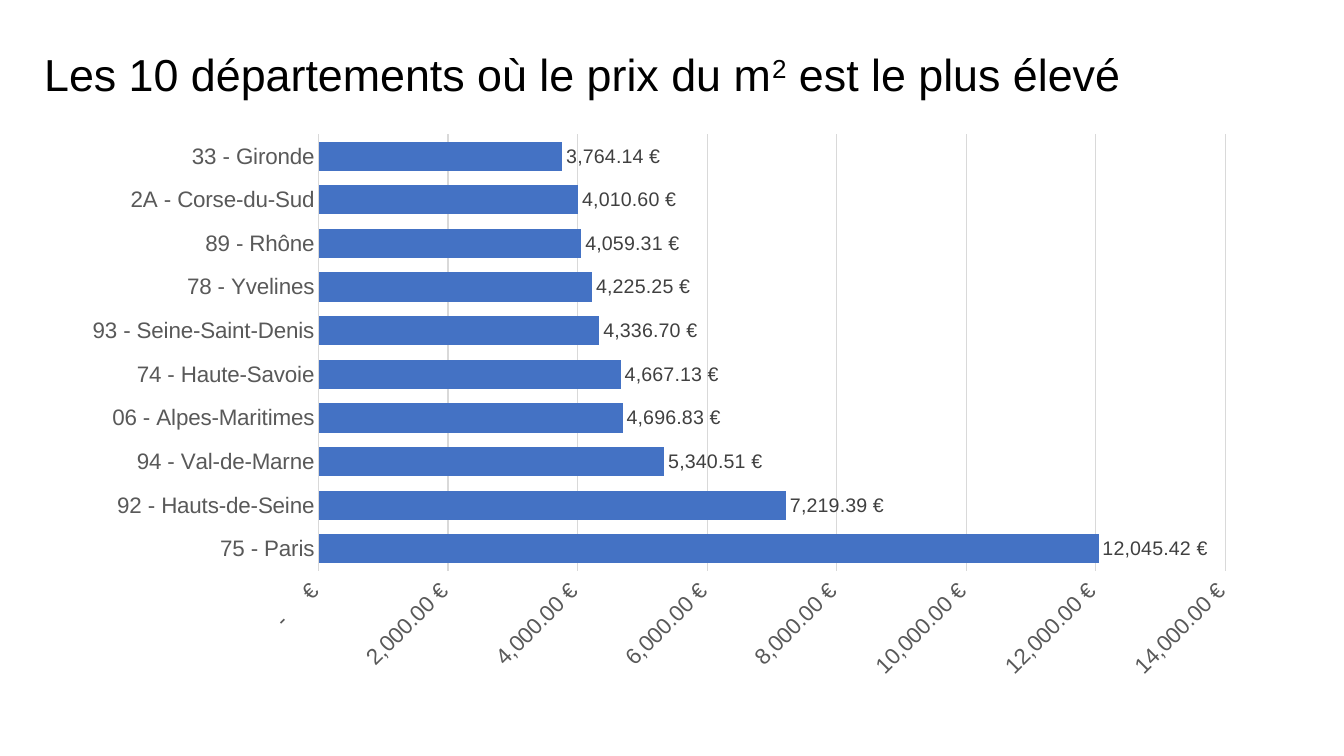
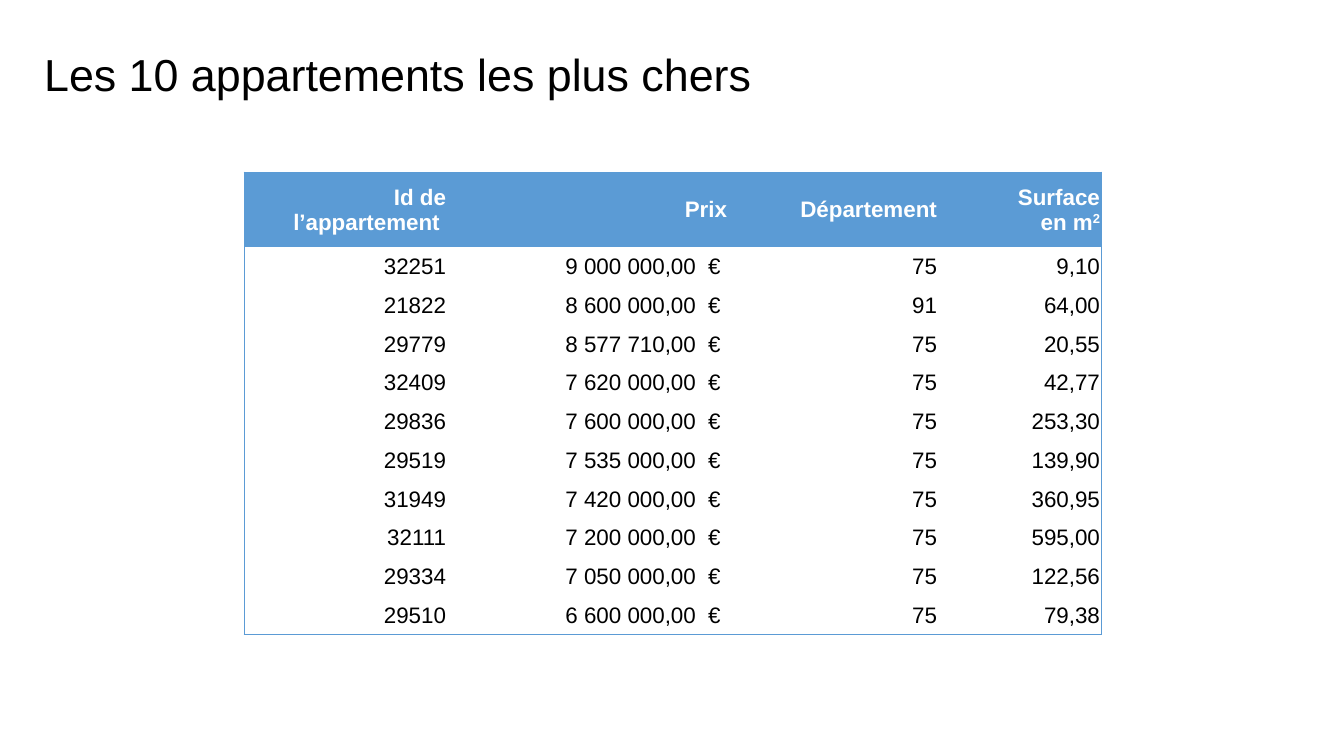
from lxml.etree import SubElement
from pptx import Presentation
from pptx.chart.data import CategoryChartData
from pptx.dml.color import RGBColor
from pptx.enum.chart import XL_CHART_TYPE as ChartType
from pptx.enum.chart import XL_LABEL_POSITION as LabelPosition
from pptx.enum.chart import XL_TICK_MARK as TickMark
from pptx.enum.text import MSO_ANCHOR as Anchor
from pptx.enum.text import MSO_AUTO_SIZE as AutoSize
from pptx.enum.text import PP_ALIGN as Align
from pptx.oxml import parse_xml
from pptx.oxml.ns import nsdecls, qn
from pptx.util import Emu, Pt

# Shared style
FONT = "Arial"
BLACK = RGBColor(0x00, 0x00, 0x00)
WHITE = RGBColor(0xFF, 0xFF, 0xFF)
BAR_BLUE = RGBColor(0x44, 0x72, 0xC4)
TABLE_BLUE = RGBColor(0x5B, 0x9B, 0xD5)
GRID_GREY = RGBColor(0xD9, 0xD9, 0xD9)
AXIS_GREY = RGBColor(0x59, 0x59, 0x59)
LABEL_GREY = RGBColor(0x40, 0x40, 0x40)
PX_PER_INCH = 100.8
TITLE_ONLY = 5
NO_STYLE_NO_GRID = "{2D5ABB26-0587-4C30-8999-92F81FD0307C}"

# Price per square metre, most expensive department first
PRICES_PER_M2 = {
    "75 - Paris": 12045.42,
    "92 - Hauts-de-Seine": 7219.39,
    "94 - Val-de-Marne": 5340.51,
    "06 - Alpes-Maritimes": 4696.83,
    "74 - Haute-Savoie": 4667.13,
    "93 - Seine-Saint-Denis": 4336.70,
    "78 - Yvelines": 4225.25,
    "89 - Rhône": 4059.31,
    "2A - Corse-du-Sud": 4010.60,
    "33 - Gironde": 3764.14,
}
AXIS_FORMAT = (r'_-* #,##0.00\ [$€-40C]_-;\-* #,##0.00\ [$€-40C]_-;'
               r'_-* "-"??\ [$€-40C]_-;_-@_-')
LABEL_FORMAT = r'#,##0.00\ "€"'

# Most expensive flats: id, price in euros, department, surface
HEADERS = ["Id de l’appartement ", "Prix", "Département", "Surface\nen m^2"]
FLATS = [
    ("32251", 9000000, "75", "9,10"),
    ("21822", 8600000, "91", "64,00"),
    ("29779", 8577710, "75", "20,55"),
    ("32409", 7620000, "75", "42,77"),
    ("29836", 7600000, "75", "253,30"),
    ("29519", 7535000, "75", "139,90"),
    ("31949", 7420000, "75", "360,95"),
    ("32111", 7200000, "75", "595,00"),
    ("29334", 7050000, "75", "122,56"),
    ("29510", 6600000, "75", "79,38"),
]
THOUSANDS_SPACE = " "


def px(length):
    return Emu(round(length * 914400 / PX_PER_INCH))


def style_font(font, size, color, bold=False):
    font.name = FONT
    font.size = Pt(size)
    font.color.rgb = color
    font.bold = bold


def add_text(paragraph, text, size, color, bold=False):
    """Add runs; a newline breaks the line and ^ raises what follows it."""
    for line_no, line in enumerate(text.split("\n")):
        if line_no:
            paragraph.add_line_break()
        normal, *raised = line.split("^")
        for part in (normal, *raised):
            run = paragraph.add_run()
            # Only the first character after ^ is raised
            is_raised = part is not normal
            run.text = part[:1] if is_raised else part
            style_font(run.font, size, color, bold)
            if is_raised:
                run.font._element.set("baseline", "30000")
            if is_raised and part[1:]:
                rest = paragraph.add_run()
                rest.text = part[1:]
                style_font(rest.font, size, color, bold)


def add_titled_slide(prs, title_text):
    slide = prs.slides.add_slide(prs.slide_layouts[TITLE_ONLY])
    title = slide.shapes.title
    title.left, title.top, title.width, title.height = map(px, (34, 42, 1148, 65))
    frame = title.text_frame
    frame.word_wrap = False
    frame.auto_size = AutoSize.NONE
    frame.vertical_anchor = Anchor.TOP
    paragraph = frame.paragraphs[0]
    paragraph.alignment = Align.LEFT
    add_text(paragraph, title_text, 32, BLACK)
    return slide


def style_axis(axis):
    axis.major_tick_mark = TickMark.NONE
    axis.minor_tick_mark = TickMark.NONE
    style_font(axis.tick_labels.font, 16, AXIS_GREY)


def set_plot_layout(chart, **fractions):
    """Fix the inner plot area as fractions of the chart."""
    plot_area = chart._chartSpace.chart.plotArea
    for old in plot_area.findall(qn("c:layout")):
        plot_area.remove(old)
    layout = parse_xml(f"<c:layout {nsdecls('c')}><c:manualLayout/></c:layout>")
    settings = {"layoutTarget": "inner", "xMode": "edge", "yMode": "edge", **fractions}
    for tag, value in settings.items():
        SubElement(layout[0], qn(f"c:{tag}")).set("val", str(value))
    plot_area.insert(0, layout)


def add_price_chart(slide):
    data = CategoryChartData()
    data.categories = list(PRICES_PER_M2)
    data.add_series("Prix du m²", list(PRICES_PER_M2.values()))
    chart = slide.shapes.add_chart(
        ChartType.BAR_CLUSTERED, *map(px, (68, 123, 1193, 574)), data).chart
    chart.has_legend = False
    chart.has_title = False
    style_font(chart.font, 10, BLACK)
    set_plot_layout(chart, x=0.21, y=0.02, w=0.76, h=0.76)

    # Axes
    departments, prices = chart.category_axis, chart.value_axis
    style_axis(departments)
    departments.format.line.color.rgb = GRID_GREY
    departments.format.line.width = Pt(0.75)
    style_axis(prices)
    prices.minimum_scale, prices.maximum_scale = 0, 14000
    prices.major_unit = 2000
    prices.format.line.fill.background()
    prices.has_major_gridlines = True
    prices.major_gridlines.format.line.color.rgb = GRID_GREY
    prices.major_gridlines.format.line.width = Pt(0.75)
    prices.tick_labels.number_format = AXIS_FORMAT
    prices.tick_labels.number_format_is_linked = False
    prices._element.find(qn("c:txPr")).find(qn("a:bodyPr")).set("rot", "-2700000")

    # Bars and their labels
    plot = chart.plots[0]
    plot.gap_width = 49
    plot.vary_by_categories = False
    bars = plot.series[0]
    bars.format.fill.solid()
    bars.format.fill.fore_color.rgb = BAR_BLUE
    labels = bars.data_labels
    labels.show_value = True
    labels.position = LabelPosition.OUTSIDE_END
    labels.number_format = LABEL_FORMAT
    labels.number_format_is_linked = False
    style_font(labels.font, 14, LABEL_GREY)


def add_border(cell, side):
    cell._tc.get_or_add_tcPr().append(parse_xml(
        f'<a:ln{side} {nsdecls("a")} w="6350"><a:solidFill>'
        f'<a:srgbClr val="{TABLE_BLUE}"/></a:solidFill></a:ln{side}>'))


def fill_cell(cell, text, is_header, border_sides):
    for side in border_sides:
        add_border(cell, side)
    if is_header:
        cell.fill.solid()
        cell.fill.fore_color.rgb = TABLE_BLUE
    else:
        cell.fill.background()
    cell.margin_left = cell.margin_right = cell.margin_top = px(1)
    cell.margin_bottom = 0
    cell.vertical_anchor = Anchor.MIDDLE
    paragraph = cell.text_frame.paragraphs[0]
    paragraph.alignment = Align.RIGHT
    add_text(paragraph, text, 16, WHITE if is_header else BLACK, is_header)


def euros(amount):
    return f" {amount:,}".replace(",", THOUSANDS_SPACE) + ",00  € "


def add_flat_table(slide):
    rows = [HEADERS] + [(flat, euros(price), department, surface)
                        for flat, price, department, surface in FLATS]
    widths = (203, 281, 210, 163)
    header_height, body_height = 75, 388
    table = slide.shapes.add_table(
        len(rows), len(widths), px(244), px(172),
        px(sum(widths)), px(header_height + body_height)).table
    table.horz_banding = False
    table._tbl.tblPr.find(qn("a:tableStyleId")).text = NO_STYLE_NO_GRID
    for column, width in zip(table.columns, widths):
        column.width = px(width)
    for row_no, row in enumerate(rows):
        table.rows[row_no].height = px(
            body_height / len(FLATS) if row_no else header_height)
        for col_no, text in enumerate(row):
            # Only the outer edge of the table is ruled
            on_edge = {"L": col_no == 0, "R": col_no == len(widths) - 1,
                       "T": row_no == 0, "B": row_no == len(rows) - 1}
            fill_cell(table.cell(row_no, col_no), text, row_no == 0,
                      [side for side, ruled in on_edge.items() if ruled])


def main():
    prs = Presentation()
    prs.slide_width, prs.slide_height = px(1344), px(756)
    add_price_chart(add_titled_slide(
        prs, "Les 10 départements où le prix du m^2 est le plus élevé"))
    add_flat_table(add_titled_slide(prs, "Les 10 appartements les plus chers"))
    prs.save("out.pptx")


if __name__ == "__main__":
    main()
